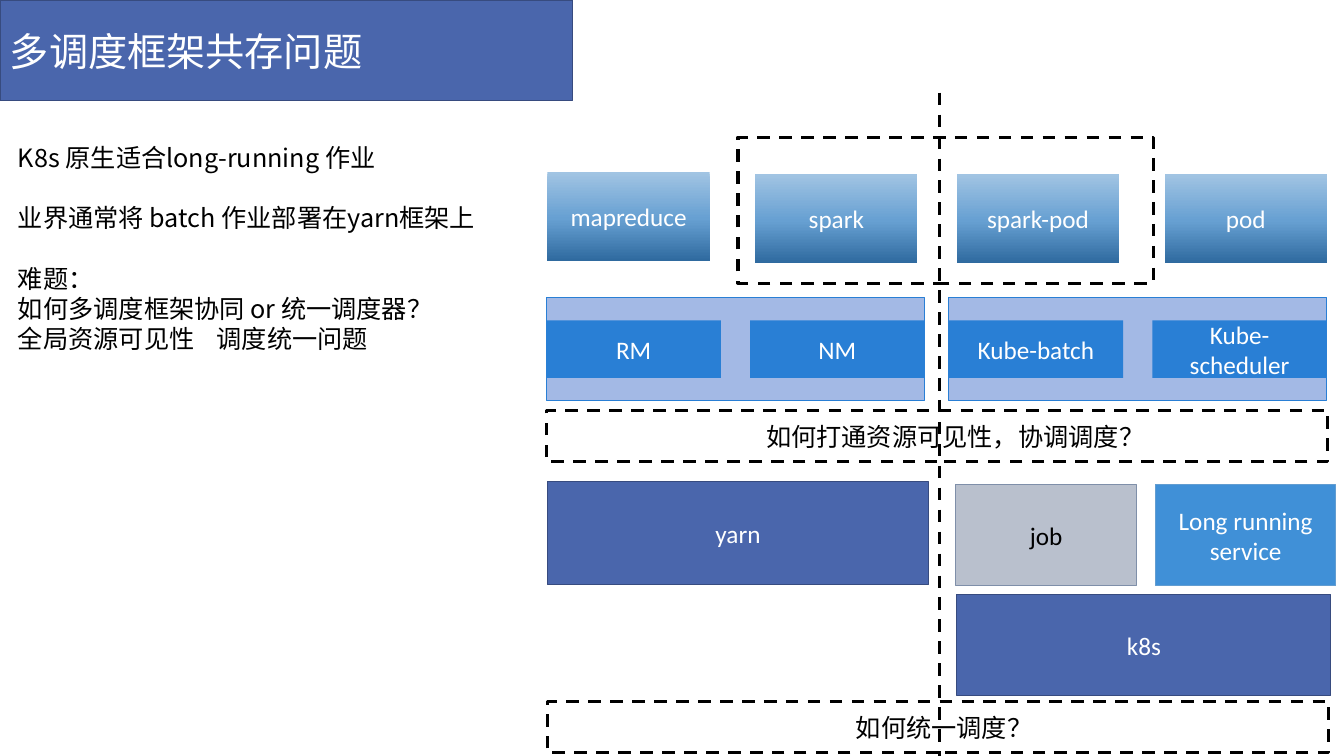
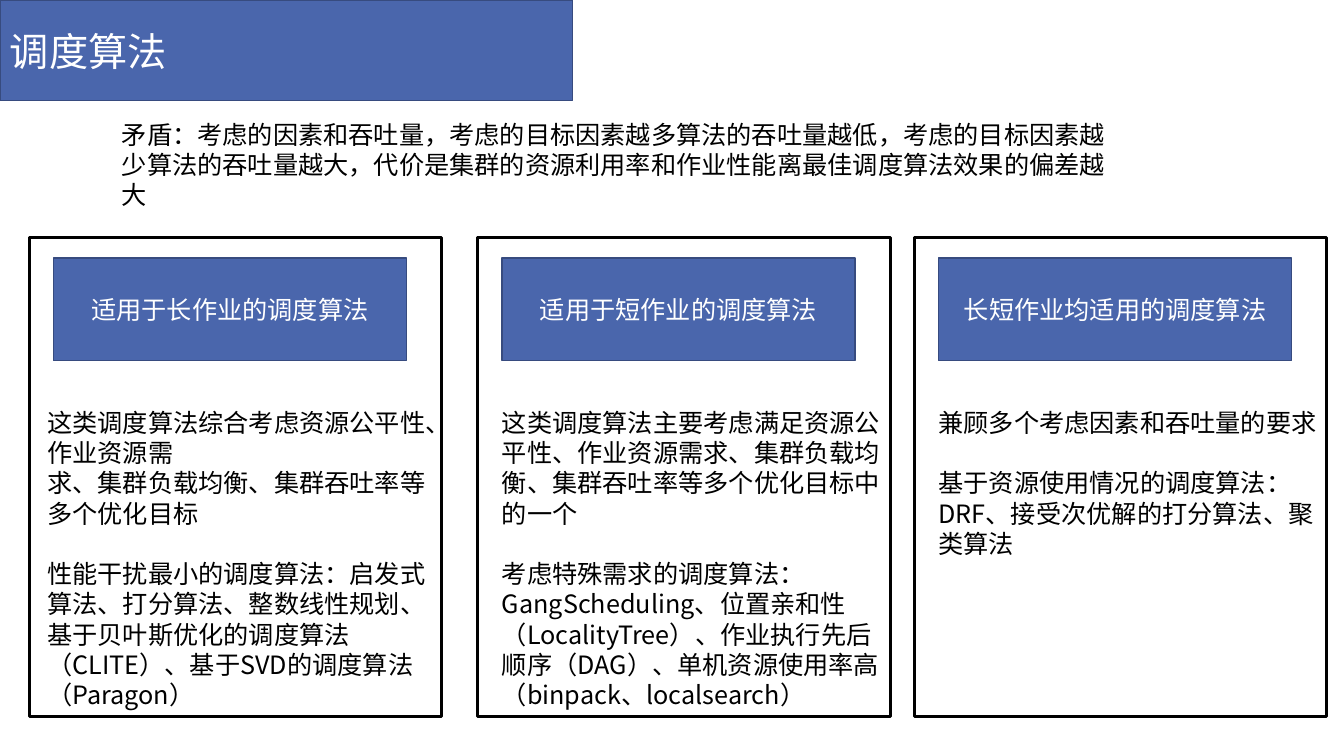
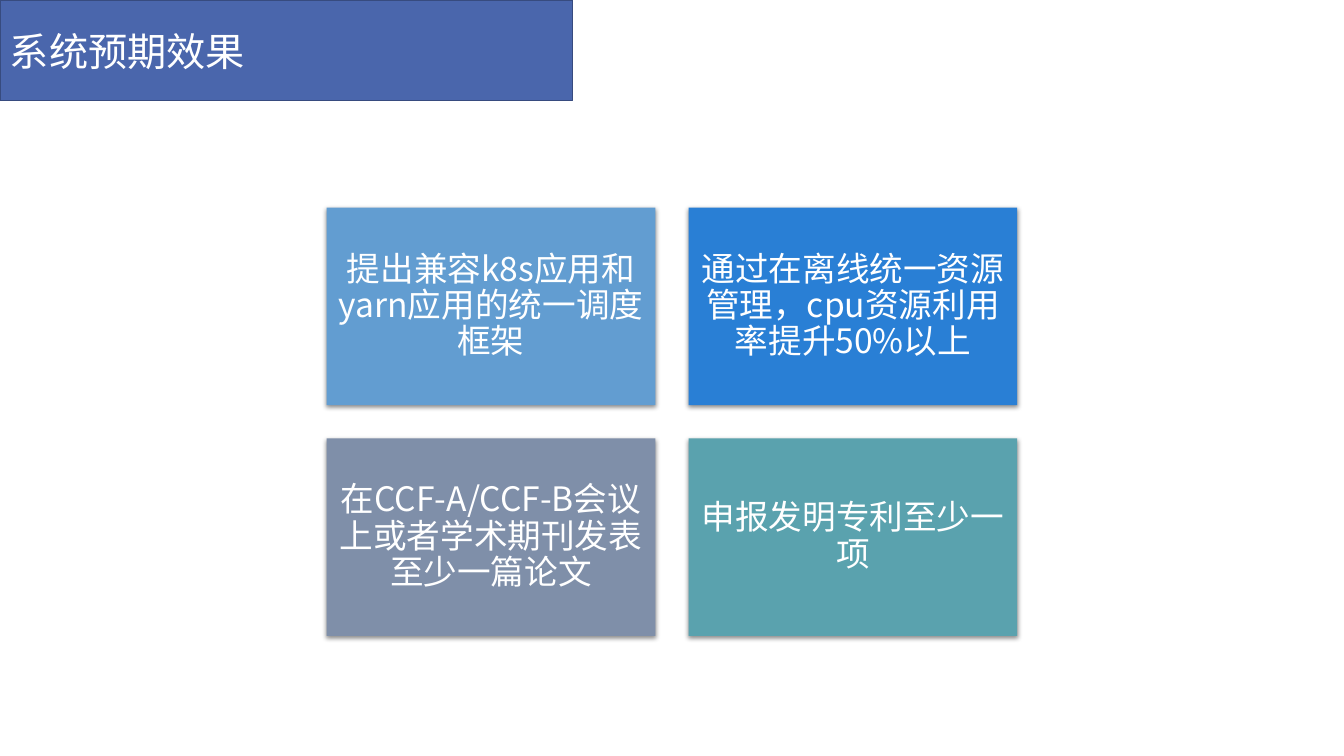
from copy import deepcopy
from dataclasses import dataclass

from lxml import etree
from pptx import Presentation
from pptx.dml.color import RGBColor
from pptx.enum.dml import MSO_LINE
from pptx.enum.shapes import MSO_CONNECTOR, MSO_SHAPE
from pptx.enum.text import MSO_ANCHOR, PP_ALIGN
from pptx.oxml.ns import qn
from pptx.util import Inches, Pt

RECTANGLE = MSO_SHAPE.RECTANGLE
STRAIGHT = MSO_CONNECTOR.STRAIGHT
DASH = MSO_LINE.DASH
TOP, MIDDLE = MSO_ANCHOR.TOP, MSO_ANCHOR.MIDDLE
LEFT, CENTER = PP_ALIGN.LEFT, PP_ALIGN.CENTER


@dataclass(frozen=True)
class Theme:
    latin: str = "Calibri"
    cjk: str = "Noto Sans CJK SC"
    title_size: float = 28
    card_size: float = 24
    body_size: float = 18
    group_gap: float = 21.6
    black: str = "000000"
    white: str = "FFFFFF"
    primary: str = "4A66AC"
    primary_edge: str = "374B7F"
    sky: str = "629DD1"
    azure: str = "297FD5"
    slate: str = "7F8FA9"
    teal: str = "5AA2AE"
    pool: str = "A3B9E5"
    job: str = "B9C0CD"
    service: str = "4090D7"
    gradient: tuple = ((0, "A1C4E3"), (0.52, "67A0D2"), (1, "2F6A9F"))
    thin: float = 0.75
    edge: float = 0.85
    thick: float = 2.25


THEME = Theme()


def rgb(value):
    return RGBColor.from_string(value)


def write_text(shape, groups, size=THEME.body_size, font=THEME.latin, color=THEME.black,
               align=LEFT, anchor=TOP, tab=None, line_spacing=None):
    """Write groups of lines; a gap of one line parts the groups."""
    frame = shape.text_frame
    frame.word_wrap = True
    frame.vertical_anchor = anchor
    lines = [(line, group_number > 0 and line_number == 0)
             for group_number, group in enumerate(groups)
             for line_number, line in enumerate(group)]
    for number, (line, starts_group) in enumerate(lines):
        paragraph = frame.paragraphs[0] if number == 0 else frame.add_paragraph()
        paragraph.text = line
        if tab and "\t" in line:
            tab_list = etree.SubElement(paragraph._p.get_or_add_pPr(), qn("a:tabLst"))
            etree.SubElement(tab_list, qn("a:tab"), pos=str(Inches(tab)), algn="l")
        paragraph.alignment = align
        if line_spacing:
            paragraph.line_spacing = line_spacing
        if starts_group:
            paragraph.space_before = Pt(THEME.group_gap)
        paragraph.font.size = Pt(size)
        paragraph.font.name = font
        paragraph.font.color.rgb = rgb(color)


def add_box(slide, left, top, width, height, fill=None, line=None, weight=THEME.thin):
    shape = slide.shapes.add_shape(
        RECTANGLE, Inches(left), Inches(top), Inches(width), Inches(height))
    shape.shadow.inherit = False
    if fill:
        shape.fill.solid()
        shape.fill.fore_color.rgb = rgb(fill)
    else:
        shape.fill.background()
    if line:
        shape.line.color.rgb = rgb(line)
        shape.line.width = Pt(weight)
    else:
        shape.line.fill.background()
    return shape


def add_label_box(slide, box, label, fill, line=None, weight=THEME.thin, color=THEME.white):
    shape = add_box(slide, *box, fill, line, weight)
    write_text(shape, [label.split("\n")], color=color, align=CENTER, anchor=MIDDLE)
    return shape


def add_primary_box(slide, box, label):
    return add_label_box(slide, box, label, THEME.primary, THEME.primary_edge, THEME.edge)


def add_text(slide, left, top, width, height, groups, **style):
    text_box = slide.shapes.add_textbox(
        Inches(left), Inches(top), Inches(width), Inches(height))
    write_text(text_box, groups, **style)


def add_dashed_frame(slide, left, top, width, height):
    frame = add_box(slide, left, top, width, height, line=THEME.black, weight=THEME.thick)
    frame.line.dash_style = DASH


def add_titled_slide(presentation, title):
    slide = presentation.slides.add_slide(presentation.slide_layouts[6])
    band = add_box(slide, 0, 0, 5.68, 1, THEME.primary, THEME.primary_edge, THEME.edge)
    write_text(band, [[title]], THEME.title_size, color=THEME.white, anchor=MIDDLE)
    return slide


# Slide 1: coexisting schedulers

def add_workload(slide, left, top, label):
    shape = add_label_box(slide, (left, top, 1.61, 0.88), label, THEME.sky)
    shape.fill.gradient()
    shape.fill.gradient_angle = 270
    stop_list = shape._element.spPr.find(".//" + qn("a:gsLst"))
    stop_list.append(deepcopy(stop_list[0]))
    for stop, (position, color) in zip(shape.fill.gradient_stops, THEME.gradient):
        stop.position = position
        stop.color.rgb = rgb(color)


def add_scheduler_pool(slide, left, top, labels):
    add_box(slide, left, top, 3.75, 1.02, THEME.pool, THEME.azure)
    for number, label in enumerate(labels):
        add_label_box(slide, (left + 2.02 * number, top + 0.23, 1.73, 0.57),
                      label, THEME.azure)


def add_divider(slide, left, top, bottom):
    divider = slide.shapes.add_connector(
        STRAIGHT, Inches(left), Inches(top), Inches(left), Inches(bottom))
    divider.line.color.rgb = rgb(THEME.black)
    divider.line.width = Pt(THEME.thick)
    divider.line.dash_style = DASH
    etree.SubElement(divider._element.spPr, qn("a:effectLst"))


def add_question(slide, left, top, text_offset, text_width, question):
    add_dashed_frame(slide, left, top, 7.75, 0.51)
    add_text(slide, left + text_offset, top + 0.06, text_width, 0.4, [[question]])


def add_architecture(slide, left, top):
    # Platforms
    add_primary_box(slide, (left + 0.01, top + 3.42, 3.78, 1.02), "yarn")
    add_primary_box(slide, (left + 4.07, top + 4.54, 3.71, 1), "k8s")
    add_label_box(slide, (left + 4.06, top + 3.45, 1.79, 1), "job",
                  THEME.job, THEME.slate, color=THEME.black)
    add_label_box(slide, (left + 6.04, top + 3.45, 1.79, 1), "Long running\nservice",
                  THEME.service, THEME.sky)
    # Workloads
    for offset, drop, label in ((0.01, 0.35, "mapreduce"), (2.07, 0.37, "spark"),
                                (4.07, 0.37, "spark-pod"), (6.13, 0.37, "pod")):
        add_workload(slide, left + offset, top + drop, label)
    # Divider and schedulers
    add_divider(slide, left + 3.9, top - 0.44, 7.5)
    add_scheduler_pool(slide, left, top + 1.59, ("RM", "NM"))
    add_scheduler_pool(slide, left + 3.99, top + 1.59, ("Kube-batch", "Kube-scheduler"))
    # Open questions
    add_dashed_frame(slide, left + 1.9, top, 4.12, 1.45)
    add_question(slide, left, top + 2.71, 2.08, 3.99, "如何打通资源可见性，协调调度？")
    add_question(slide, left + 0.01, top + 5.6, 2.96, 1.97, "如何统一调度？")


def build_coexistence_slide(presentation):
    slide = add_titled_slide(presentation, "多调度框架共存问题")
    add_text(slide, 0.08, 1.36, 5.52, 2.22, [
        ["K8s 原生适合long-running 作业"],
        ["业界通常将 batch 作业部署在yarn框架上"],
        ["难题：", "如何多调度框架协同 or 统一调度器？", "全局资源可见性\t调度统一问题"],
    ], font=THEME.cjk, tab=1.97)
    add_architecture(slide, 5.42, 1.36)


# Slide 2: scheduling algorithms

def add_algorithm_column(slide, left, top, text_offset, heading, groups):
    add_box(slide, left, top, 4.09, 4.75, THEME.white, THEME.black, THEME.thick)
    add_primary_box(slide, (left + 0.24, top + 0.2, 3.5, 1.02), heading)
    add_text(slide, left + text_offset, top + 1.63, 4.09, 3.13, groups, font=THEME.cjk)


def build_algorithm_slide(presentation):
    slide = add_titled_slide(presentation, "调度算法")
    add_text(slide, 1.11, 1.13, 10.01, 1.01, [[
        "矛盾：考虑的因素和吞吐量，考虑的目标因素越多算法的吞吐量越低，"
        "考虑的目标因素越少算法的吞吐量越大，"
        "代价是集群的资源利用率和作业性能离最佳调度算法效果的偏差越大"]])
    columns = (
        (0.29, 0.08, "适用于长作业的调度算法", [
            ["这类调度算法综合考虑资源公平性、作业资源需",
             "求、集群负载均衡、集群吞吐率等多个优化目标"],
            ["性能干扰最小的调度算法：启发式算法、打分算法、整数线性规划、"
             "基于贝叶斯优化的调度算法（CLITE）、基于SVD的调度算法（Paragon）"]]),
        (4.74, 0.14, "适用于短作业的调度算法", [
            ["这类调度算法主要考虑满足资源公平性、作业资源需求、集群负载均衡、"
             "集群吞吐率等多个优化目标中的一个"],
            ["考虑特殊需求的调度算法：GangScheduling、位置亲和性（LocalityTree）、"
             "作业执行先后顺序（DAG）、单机资源使用率高（binpack、localsearch）"]]),
        (9.07, 0.14, "长短作业均适用的调度算法", [
            ["兼顾多个考虑因素和吞吐量的要求"],
            ["基于资源使用情况的调度算法：DRF、接受次优解的打分算法、聚类算法"]]),
    )
    for left, text_offset, heading, groups in columns:
        add_algorithm_column(slide, left, 2.36, text_offset, heading, groups)


# Slide 3: expected results

def add_soft_shadow(shape):
    effects = shape._element.spPr.find(qn("a:effectLst"))
    shadow = etree.SubElement(effects, qn("a:outerShdw"), blurRad=str(Pt(3.5)),
                              dist=str(Pt(1.1)), dir="5400000", rotWithShape="0")
    color = etree.SubElement(shadow, qn("a:srgbClr"), val=THEME.black)
    etree.SubElement(color, qn("a:alpha"), val="45000")


def add_result_card(slide, left, top, fill, text):
    card = add_box(slide, left, top, 3.26, 1.96, fill)
    add_soft_shadow(card)
    frame = card.text_frame
    frame.margin_top = frame.margin_bottom = Inches(0.1)
    write_text(card, [[text]], THEME.card_size, THEME.cjk, THEME.white,
               CENTER, MIDDLE, line_spacing=0.9)


def build_result_slide(presentation):
    slide = add_titled_slide(presentation, "系统预期效果")
    cards = (
        (THEME.sky, "提出兼容k8s应用和yarn应用的统一调度框架"),
        (THEME.azure, "通过在离线统一资源管理，cpu资源利用率提升50%以上"),
        (THEME.slate, "在CCF-A/CCF-B会议上或者学术期刊发表至少一篇论文"),
        (THEME.teal, "申报发明专利至少一项"),
    )
    for number, (fill, text) in enumerate(cards):
        row, column = divmod(number, 2)
        add_result_card(slide, 3.24 + 3.59 * column, 2.06 + 2.29 * row, fill, text)


def main():
    presentation = Presentation()
    presentation.slide_width = Inches(13.33)
    presentation.slide_height = Inches(7.5)
    build_coexistence_slide(presentation)
    build_algorithm_slide(presentation)
    build_result_slide(presentation)
    presentation.save("out.pptx")


if __name__ == "__main__":
    main()
